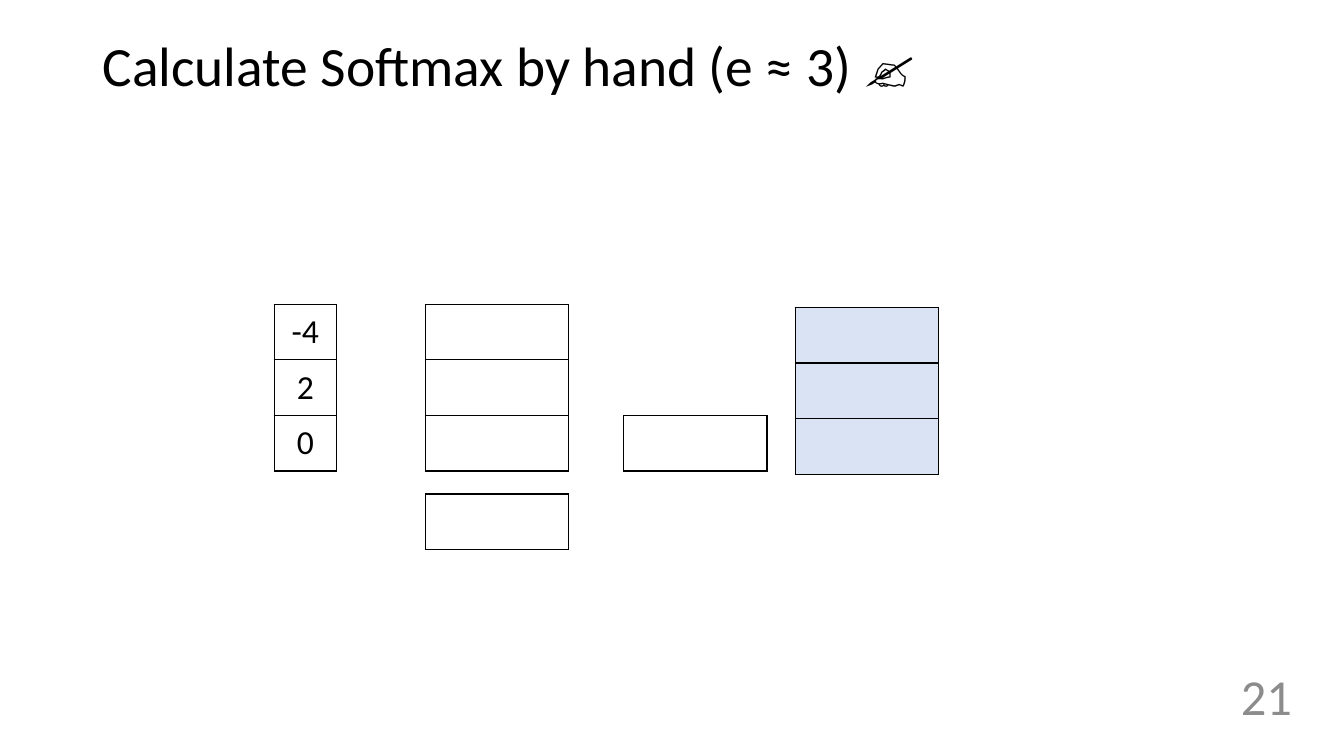
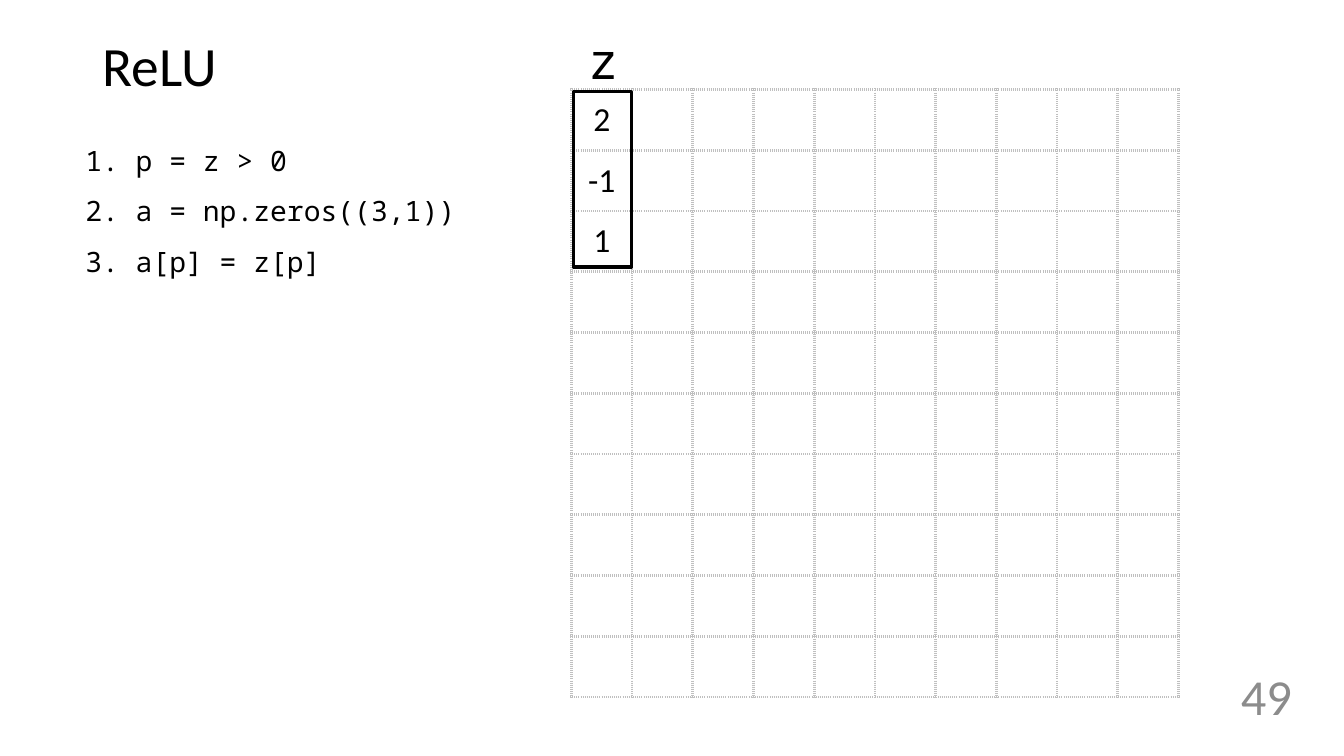
from lxml import etree
from pptx import Presentation
from pptx import util as u
from pptx.dml.color import RGBColor
from pptx.enum import shapes, text
from pptx.oxml.ns import qn

Cm, Pt = u.Cm, u.Pt
BLACK, GREY, GRID_GREY, PALE_BLUE = "000000", "8C8C8C", "BFBFBF", "DAE3F3"
SANS, MONO = "Calibri", "Noto Sans Mono"


def color(value):
    return RGBColor.from_string(value)


class Deck:
    """Holds the shared style and the slide being built."""

    def __init__(self):
        self.presentation = Presentation()
        self.presentation.slide_width = Cm(33.87)
        self.presentation.slide_height = Cm(19.05)
        self.slide = None

    def add_run(self, paragraph, words, size, font=SANS, fill=BLACK):
        run = paragraph.add_run()
        run.text = words
        run.font.size = Pt(size)
        run.font.name = font
        run.font.color.rgb = color(fill)

    def new_slide(self, title, number):
        layout = self.presentation.slide_layouts[5]
        self.slide = self.presentation.slides.add_slide(layout)
        shape = self.slide.shapes.title
        shape.left, shape.top = Cm(2.33), Cm(1.02)
        shape.width, shape.height = Cm(29.21), Cm(1.4)
        frame = shape.text_frame
        frame.auto_size = text.MSO_AUTO_SIZE.NONE
        frame.vertical_anchor = text.MSO_ANCHOR.MIDDLE
        paragraph = frame.paragraphs[0]
        paragraph.alignment = text.PP_ALIGN.LEFT
        paragraph.line_spacing = 0.9
        self.add_run(paragraph, title, 39.6)

        # Page number
        frame = self.text_box(29.64, 16.43, 3.17, 2.18)
        frame.vertical_anchor = text.MSO_ANCHOR.MIDDLE
        paragraph = frame.paragraphs[0]
        paragraph.alignment = text.PP_ALIGN.RIGHT
        self.add_run(paragraph, number, 36, fill=GREY)

    def text_box(self, left, top, width, height, wrap=True):
        shape = self.slide.shapes.add_textbox(Cm(left), Cm(top), Cm(width), Cm(height))
        shape.text_frame.word_wrap = wrap
        return shape.text_frame

    def label(self, left, top, width, height, words, size):
        frame = self.text_box(left, top, width, height, wrap=False)
        self.add_run(frame.paragraphs[0], words, size, MONO)

    def numbered_code(self, left, top, width, height, lines):
        frame = self.text_box(left, top, width, height)
        for index, line in enumerate(lines):
            paragraph = frame.add_paragraph() if index else frame.paragraphs[0]
            paragraph.line_spacing = 1.5
            properties = paragraph._p.get_or_add_pPr()
            properties.set("marL", str(Cm(1.27)))
            properties.set("indent", str(-Cm(1.27)))
            etree.SubElement(properties, qn("a:buFont"), typeface=MONO)
            etree.SubElement(properties, qn("a:buAutoNum"), type="arabicPeriod")
            self.add_run(paragraph, line, 20, MONO)

    def outline(self, left, top, width, height):
        shape = self.slide.shapes.add_shape(
            shapes.MSO_SHAPE.RECTANGLE, Cm(left), Cm(top), Cm(width), Cm(height))
        shape.shadow.inherit = False
        shape.fill.background()
        shape.line.color.rgb = color(BLACK)
        shape.line.width = Pt(2.25)

    def cell_borders(self, cell, line, width, dash):
        properties = cell._tc.get_or_add_tcPr()
        for index, side in enumerate(("lnL", "lnR", "lnT", "lnB")):
            border = etree.Element(qn("a:" + side), w=str(Pt(width)))
            fill = etree.SubElement(border, qn("a:solidFill"))
            etree.SubElement(fill, qn("a:srgbClr"), val=line)
            etree.SubElement(border, qn("a:prstDash"), val=dash)
            properties.insert(index, border)

    def matrix(self, left, top, cell_width, cell_height, rows, columns=1, values=(),
               fill=None, line=BLACK, line_width=1, dash="solid"):
        """Draw a grid of equal cells; the values run down the first column."""
        table = self.slide.shapes.add_table(
            rows, columns, Cm(left), Cm(top),
            Cm(cell_width * columns), Cm(cell_height * rows)).table
        table.first_row = table.horz_banding = False
        for column in table.columns:
            column.width = Cm(cell_width)
        for row in table.rows:
            row.height = Cm(cell_height)
        for cell in table.iter_cells():
            cell.vertical_anchor = text.MSO_ANCHOR.MIDDLE
            if fill:
                cell.fill.solid()
                cell.fill.fore_color.rgb = color(fill)
            else:
                cell.fill.background()
            self.cell_borders(cell, line, line_width, dash)
        for row, value in enumerate(values):
            paragraph = table.cell(row, 0).text_frame.paragraphs[0]
            paragraph.alignment = text.PP_ALIGN.CENTER
            self.add_run(paragraph, value, 24)


def softmax_slide(deck):
    deck.new_slide("Calculate Softmax by hand (e ≈ 3) ✍️", "21")
    top, row, wide = 7.67, 1.4, 3.61
    # Inputs, exponentials, divisor, result and sum
    deck.matrix(6.91, top, 1.57, row, 3, values=("-4", "2", "0"))
    deck.matrix(10.72, top, wide, row, 3)
    deck.matrix(15.72, top + 2 * row, wide, row, 1)
    deck.matrix(20.04, 7.75, wide, row, 3, fill=PALE_BLUE)
    deck.matrix(10.72, 12.45, wide, row, 1)


def relu_slide(deck):
    deck.new_slide("ReLU", "49")
    # Work grid with the vector z
    deck.matrix(14.4, 2.26, 1.53, 1.53, 10, 10, values=("2", "-1", "1"),
                line=GRID_GREY, line_width=2.25, dash="sysDot")
    deck.outline(14.45, 2.31, 1.47, 4.42)
    deck.label(14.58, 0.61, 1.22, 1.8, "z", 36)
    # Code steps
    deck.numbered_code(1.9, 3.07, 11.48, 5.26,
                       ("p = z > 0", "a = np.zeros((3,1))", "a[p] = z[p]"))


def main():
    deck = Deck()
    softmax_slide(deck)
    relu_slide(deck)
    deck.presentation.save("out.pptx")


if __name__ == "__main__":
    main()
